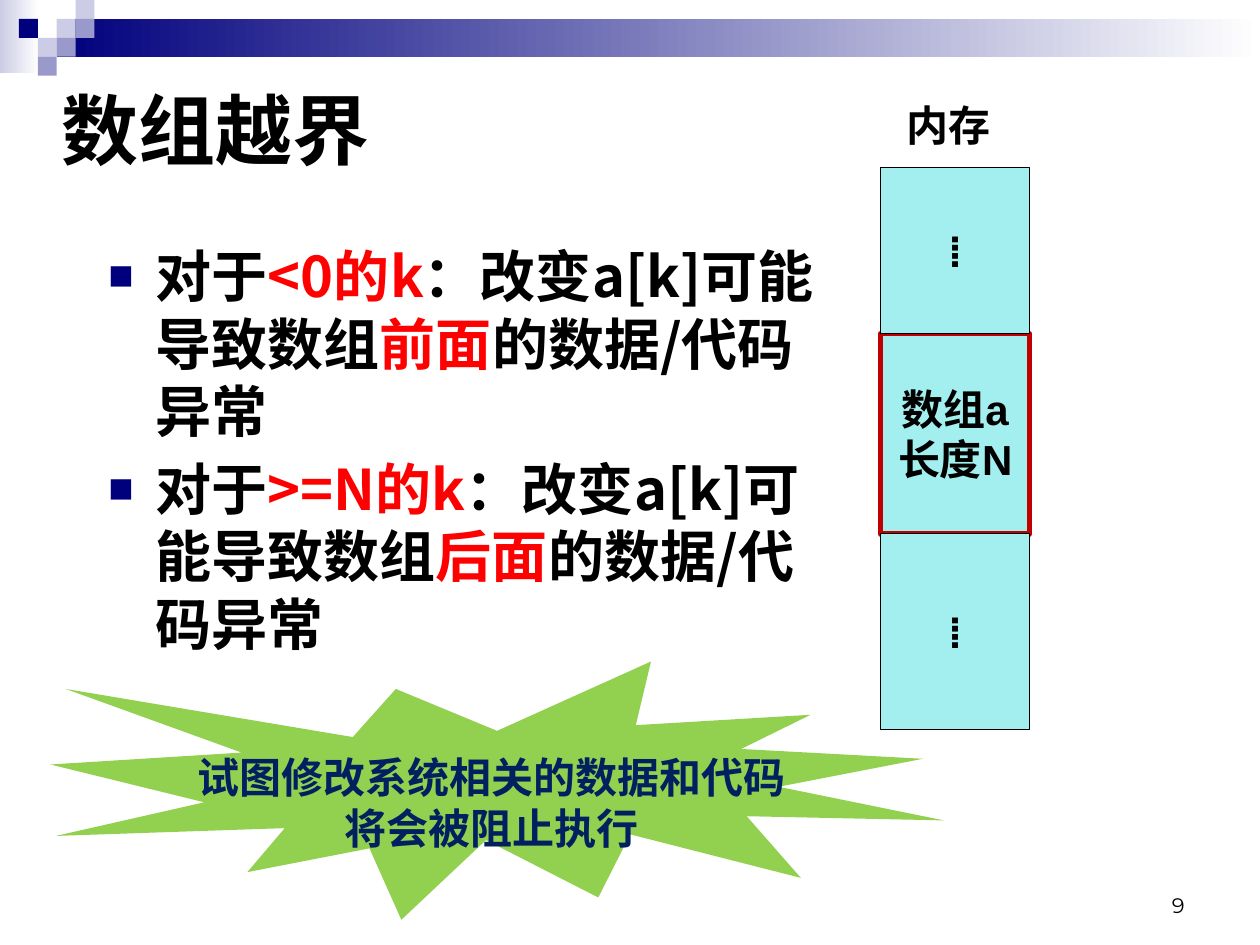
"""Build the slide on array bounds with a memory diagram."""
from lxml import etree
from pptx import Presentation
from pptx.dml.color import RGBColor
from pptx.enum import shapes, text
from pptx.oxml.ns import qn
from pptx.util import Pt

BLACK = RGBColor(0, 0, 0)
WHITE = RGBColor(255, 255, 255)
RED = RGBColor(255, 0, 0)
EDGE = RGBColor(0xC0, 0, 0)
NAVY = RGBColor(0, 0, 0x7D)
MID = RGBColor(0x99, 0x99, 0xCC)
PALE = RGBColor(0xCC, 0xCC, 0xE6)
AQUA = RGBColor(0xA3, 0xEF, 0xEF)
GREEN = RGBColor(0x92, 0xD0, 0x50)
INK = RGBColor(0, 0x20, 0x60)
NOTO = "Noto Sans CJK SC"

POINTS = [
    [[("对于", BLACK), (cond, RED), (":改变a[k]可能导致数组".replace(":", "："), BLACK),
      (side, RED), ("的数据/代码异常", BLACK)]]
    for cond, side in (("<0的k", "前面"), (">=N的k", "后面"))
]
POINTS = [line for item in POINTS for line in item]
BANDS = [((0, 0, 22.3, 41.8), PALE), ((32.4, 10.8, 687.6, 21.6), NAVY)]
TILES = [(3, 1, PALE), (4, 0, PALE), (4, 1, MID), (2, 2, PALE),
         (1, 1, NAVY), (3, 2, MID), (2, 3, MID)]
TILE = 10.8
CELLS = [(190.8, 114.4, ["数组a", "长度N"], EDGE, 3),
         (304.8, 112.2, ["⁞"], BLACK, 0.75),
         (95.8, 95, ["⁞"], BLACK, 0.75)]
WARN = ["试图修改系统相关的数据和代码", "将会被阻止执行"]
ALIGN = text.PP_ALIGN
ANCHOR = text.MSO_ANCHOR
KIND = shapes.MSO_SHAPE


def write(shape, lines, size=24, font="Arial", color=BLACK, bold=True,
          align=ALIGN.CENTER, anchor=ANCHOR.MIDDLE, wrap=False, before=0):
    frame = shape.text_frame
    frame.word_wrap = wrap
    frame.auto_size = text.MSO_AUTO_SIZE.NONE
    frame.vertical_anchor = anchor
    for num, line in enumerate(lines):
        para = frame.add_paragraph() if num else frame.paragraphs[0]
        para.alignment = align
        para.space_before = Pt(before)
        for words, tint in [(line, color)] if isinstance(line, str) else line:
            run = para.add_run()
            run.text = words
            run.font.size = Pt(size)
            run.font.name = font
            run.font.bold = bold
            run.font.color.rgb = tint
            etree.SubElement(run.font._element, qn("a:ea"), typeface=NOTO)
    return frame


def place(shape, *box):
    shape.left, shape.top, shape.width, shape.height = map(Pt, box)
    return shape


def draw(kind, box, fill, line=None, width=0.75):
    shape = slide.shapes.add_shape(kind, *map(Pt, box))
    shape.shadow.inherit = False
    shape.fill.solid()
    shape.fill.fore_color.rgb = fill
    if line is None:
        shape.line.fill.background()
    else:
        shape.line.color.rgb = line
        shape.line.width = Pt(width)
    return shape


def bullet(para):
    props = para._p.get_or_add_pPr()
    props.set("marL", str(Pt(27)))
    props.set("indent", str(Pt(-27)))
    tint = etree.SubElement(props, qn("a:buClr"))
    etree.SubElement(tint, qn("a:srgbClr"), val=str(NAVY))
    etree.SubElement(props, qn("a:buSzPct"), val="75000")
    etree.SubElement(props, qn("a:buFont"), typeface="Arial")
    etree.SubElement(props, qn("a:buChar"), char="■")


deck = Presentation()
deck.slide_width, deck.slide_height = Pt(720), Pt(540)
slide = deck.slides.add_slide(deck.slide_layouts[1])

for box, tint in BANDS:
    band = draw(KIND.RECTANGLE, box, tint)
    band.fill.gradient()
    band.fill.gradient_angle = 0
    for stop, shade in zip(band.fill.gradient_stops, (tint, WHITE)):
        stop.color.rgb = shade
for col, row, tint in TILES:
    draw(KIND.RECTANGLE, (col * TILE, row * TILE, TILE, TILE), tint)

title = place(slide.shapes.title, 28.1, 39.6, 648, 68.4)
write(title, ["数组越界"], size=44, font=NOTO, align=ALIGN.LEFT, wrap=True)

for top, high, lines, edge, width in CELLS:
    cell = draw(KIND.RECTANGLE, (503.3, top, 85, high), AQUA, edge, width)
    write(cell, lines)

label = slide.shapes.add_textbox(*map(Pt, (496.1, 53.3, 92.2, 36)))
write(label, ["内存"], font=NOTO, anchor=ANCHOR.TOP, wrap=True)

body = place(slide.placeholders[1], 54.7, 134.6, 424.8, 351.4)
frame = write(body, POINTS, size=32, font=NOTO, align=ALIGN.LEFT,
              anchor=ANCHOR.TOP, wrap=True, before=6.4)
for para in frame.paragraphs:
    bullet(para)

page = slide.shapes.add_textbox(*map(Pt, (516.2, 491.8, 167.8, 36)))
write(page, ["9"], size=12, font="Montserrat", bold=False,
      align=ALIGN.RIGHT, anchor=ANCHOR.BOTTOM, wrap=True)

burst = draw(KIND.EXPLOSION1, (28.8, 378, 510.5, 147.6), GREEN)
write(burst, WARN, color=INK).margin_top = Pt(26)

deck.save("out.pptx")
